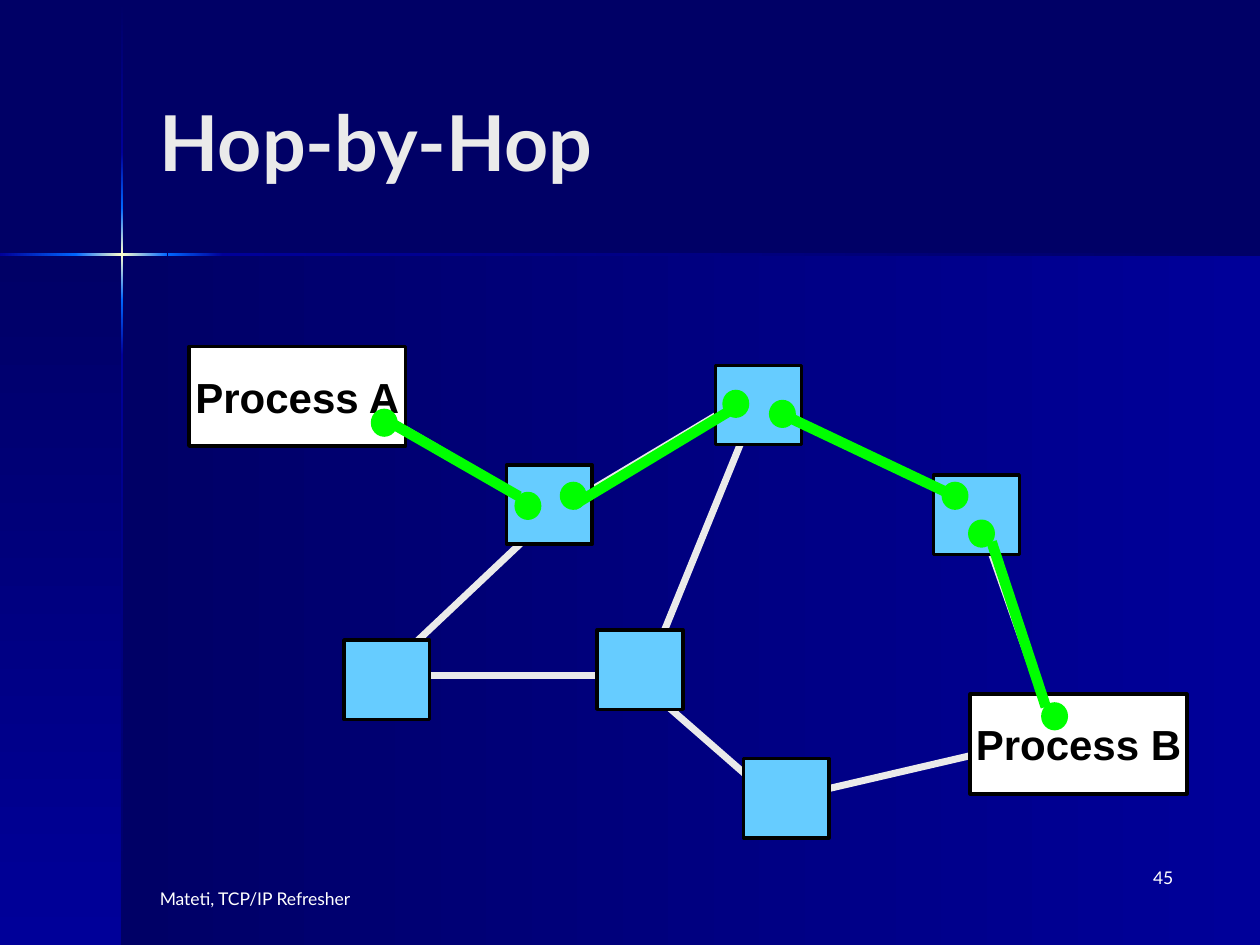
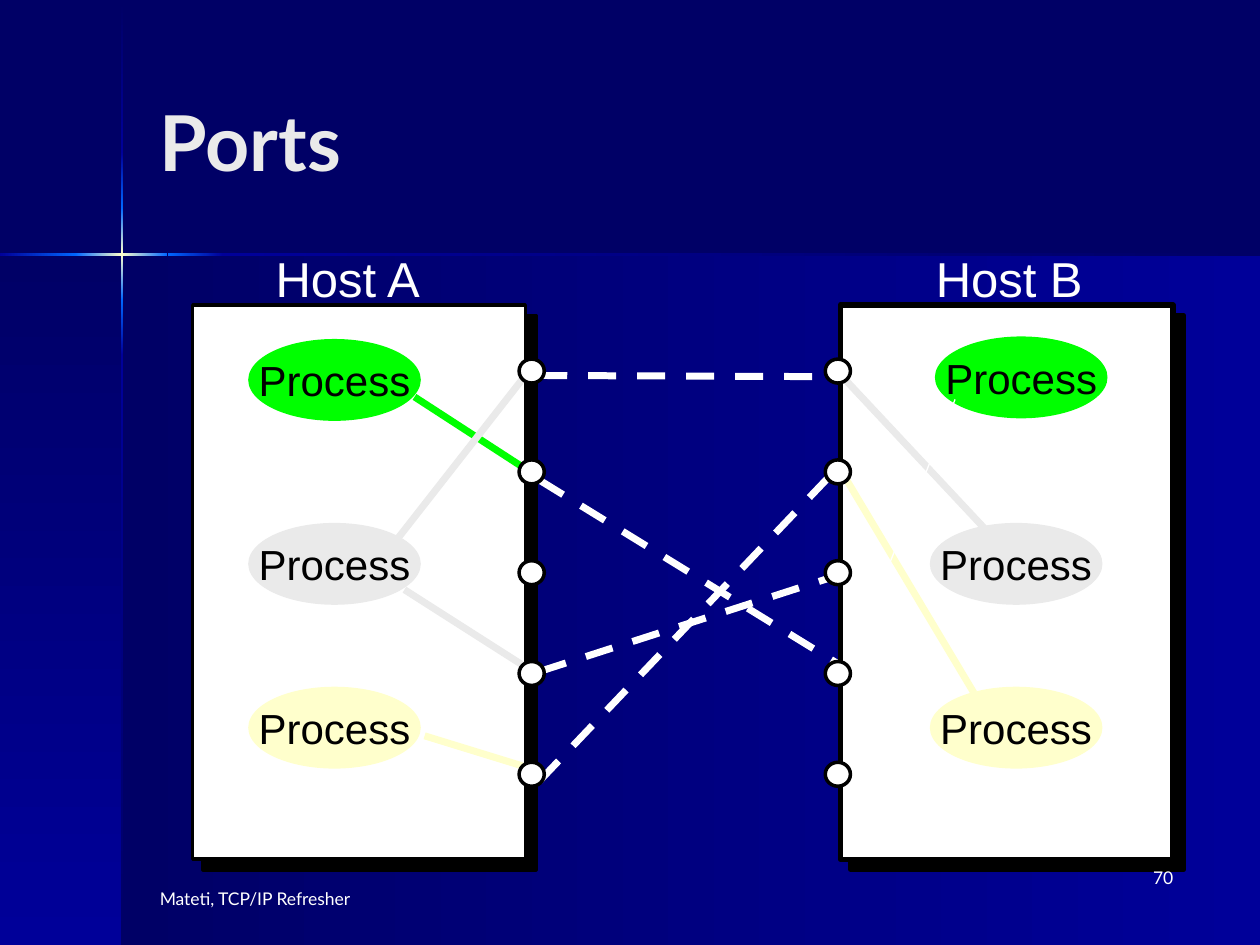
from lxml import etree
from pptx import Presentation
from pptx.dml.color import RGBColor
from pptx.enum import dml, shapes, text
from pptx.oxml import ns
from pptx.util import Inches, Pt

COLOURS = {
    "navy": "000066", "blue": "000099", "bright": "0066FF", "cream": "FFFFCC",
    "pale": "EAEAEA", "white": "FFFFFF", "black": "000000", "sky": "66CCFF",
    "green": "00FF00",
}
RECTANGLE = shapes.MSO_SHAPE.RECTANGLE
OVAL = shapes.MSO_SHAPE.OVAL
LEFT, CENTER, RIGHT = text.PP_ALIGN.LEFT, text.PP_ALIGN.CENTER, text.PP_ALIGN.RIGHT
TOP, MIDDLE = text.MSO_ANCHOR.TOP, text.MSO_ANCHOR.MIDDLE


def add_shape(slide, kind, box, fill=None, line=None, width=2, words="", size=24,
              font="Arial", colour="black", bold=False, align=CENTER, anchor=MIDDLE):
    box = [Inches(length) for length in box]
    if kind is None:
        shape = slide.shapes.add_textbox(*box)
    else:
        shape = slide.shapes.add_shape(kind, *box)
        shape.shadow.inherit = False
        if line:
            shape.line.color.rgb = RGBColor.from_string(COLOURS[line])
            shape.line.width = Pt(width)
        else:
            shape.line.fill.background()
    if fill:
        shape.fill.solid()
        shape.fill.fore_color.rgb = RGBColor.from_string(COLOURS[fill])
    if words:
        frame = shape.text_frame
        frame.text = words
        frame.word_wrap = kind is None
        frame.vertical_anchor = anchor
        paragraph = frame.paragraphs[0]
        paragraph.alignment = align
        run_font = paragraph.runs[0].font
        run_font.name, run_font.size, run_font.bold = font, Pt(size), bold
        run_font.color.rgb = RGBColor.from_string(COLOURS[colour])
    return shape


def add_line(slide, points, colour, width=4, dash=None):
    connector = slide.shapes.add_connector(
        shapes.MSO_CONNECTOR.STRAIGHT, *[Inches(length) for length in points])
    connector.line.color.rgb = RGBColor.from_string(COLOURS[colour])
    connector.line.width = Pt(width)
    if dash:
        connector.line.dash_style = dash
    etree.SubElement(connector._element.spPr, ns.qn("a:effectLst"))


presentation = Presentation()
presentation.slide_width = Inches(10)
presentation.slide_height = Inches(7.5)
background = presentation.slide_master.background.fill
background.solid()
background.fore_color.rgb = RGBColor.from_string(COLOURS["navy"])

DOWN, LEFTWARD = 90, 180
glow = ["bright", "cream", "bright"]
bands = [
    ((0.97, 2.02, 9.03, 5.48), ["blue", "navy"], LEFTWARD),
    ((0, 2.02, 0.97, 5.48), ["navy", "blue"], DOWN),
    ((0.96, 0.01, 0.02, 1.2), ["navy", "blue"], DOWN),
    ((0.96, 2.82, 0.02, 4.68), ["blue", "navy"], DOWN),
    ((1.77, 2.01, 8.23, 0.02), ["navy", "blue"], LEFTWARD),
    ((0.96, 2.38, 0.02, 0.44), ["bright", "blue"], DOWN),
    ((0.96, 1.21, 0.02, 0.44), ["blue", "bright"], DOWN),
    ((0.96, 1.65, 0.02, 0.73), glow, DOWN),
    ((0, 2.01, 0.61, 0.02), ["bright", "blue"], LEFTWARD),
    ((1.33, 2.01, 0.44, 0.02), ["blue", "bright"], LEFTWARD),
    ((0.6, 2.01, 0.73, 0.02), glow, LEFTWARD),
]
slides = []
for title in ("Hop-by-Hop", "Ports"):
    slide = presentation.slides.add_slide(presentation.slide_layouts[6])
    slides.append(slide)
    for box, colours, angle in bands:
        band = add_shape(slide, RECTANGLE, box)
        band.fill.gradient()
        band.fill.gradient_angle = 360 - angle
        stops = band._element.spPr.find(ns.qn("a:gradFill")).find(ns.qn("a:gsLst"))
        for stop in list(stops):
            stops.remove(stop)
        for index, colour in enumerate(colours):
            position = 100000 * index // (len(colours) - 1)
            stop = etree.SubElement(stops, ns.qn("a:gs"), pos=str(position))
            etree.SubElement(stop, ns.qn("a:srgbClr"), val=COLOURS[colour])
    add_shape(slide, None, (1.17, 0.33, 8.25, 1.57), words=title, size=44,
              font="Lato", colour="pale", bold=True, align=LEFT)
hop_slide, port_slide = slides

links = [
    (5.04, 5.38, 6.15, 6.35), (5.12, 5.38, 6, 3.22), (6.27, 6.33, 8.38, 5.84),
    (3.1, 5.36, 5.07, 5.36), (7.78, 4.14, 8.38, 5.84), (4.39, 4.07, 5.93, 3.15),
    (6.05, 3.2, 7.73, 4.02), (4.39, 4.07, 2.98, 5.4), (3.1, 3.34, 4.27, 4.02),
]
for link in links:
    add_line(hop_slide, link, "pale")
for name, left, top in (("Process A", 1.5, 2.75), ("Process B", 7.7, 5.51)):
    add_shape(hop_slide, RECTANGLE, (left, top, 1.72, 0.79), "white", "black",
              words=name, bold=True)
routers = [(4.74, 5), (5.68, 2.9), (7.41, 3.77), (4.02, 3.69), (2.73, 5.08), (5.9, 6.02)]
for left, top in routers:
    add_shape(hop_slide, RECTANGLE, (left, top, 0.68, 0.63), "sky", "black")
hops = [
    ((2.95, 3.25), (4.09, 3.91), (3.11, 3.36, 4.12, 3.94)),
    ((4.45, 3.83), (5.74, 3.1), (4.55, 4.01, 5.81, 3.25)),
    ((6.11, 3.18), (7.48, 3.83), (6.17, 3.27, 7.54, 3.92)),
    ((7.69, 4.13), (8.27, 5.58), (7.87, 4.3, 8.3, 5.61)),
]
for start, end, hop in hops:
    for left, top in (start, end):
        add_shape(hop_slide, OVAL, (left, top, 0.2, 0.21), "green", "green", 1)
    add_line(hop_slide, hop, "green", 6)

for name, left in (("Host A", 1.33), ("Host B", 6.58)):
    add_shape(port_slide, None, (left, 1.92, 2.86, 0.56), words=name, size=28,
              colour="white", anchor=TOP)
connections = [
    (4.28, 3.81, 6.67, 5.28), (4.28, 5.33, 6.67, 4.56),
    (4.28, 6.2, 6.67, 3.69), (4.28, 2.98, 6.67, 2.99),
]
for connection in connections:
    add_line(port_slide, connection, "white", dash=dml.MSO_LINE.DASH)
for left, width in ((1.53, 2), (6.67, 3)):
    host = add_shape(port_slide, RECTANGLE, (left, 2.42, 2.64, 4.4), "white", "black", width)
    effects = host._element.spPr.find(ns.qn("a:effectLst"))
    shadow = etree.SubElement(effects, ns.qn("a:outerShdw"), blurRad="0",
                              dist=str(Pt(8.5)), dir="2700000", algn="ctr", rotWithShape="0")
    etree.SubElement(shadow, ns.qn("a:srgbClr"), val=COLOURS["black"])
processes = [
    (1.97, 2.69, "green"), (1.97, 4.15, "pale"), (1.97, 5.45, "cream"),
    (7.42, 2.67, "green"), (7.38, 4.15, "pale"), (7.38, 5.45, "cream"),
]
for left, top, colour in processes:
    add_shape(port_slide, OVAL, (left, top, 1.37, 0.65), colour, words="Process")
bindings = [
    ((3.29, 3.15, 4.23, 3.76), "green"), ((3.21, 4.68, 4.15, 5.28), "pale"),
    ((4.2, 2.94, 3.16, 4.27), "pale"), ((3.37, 5.84, 4.15, 6.08), "cream"),
    ((6.64, 2.94, 7.81, 4.19), "pale"), ((6.72, 3.81, 7.73, 5.5), "cream"),
]
for binding, colour in bindings:
    add_line(port_slide, binding, colour)
for left in (6.55, 4.12):
    for row in range(5):
        add_shape(port_slide, OVAL, (left, 2.85 + 0.8 * row, 0.2, 0.19), "white", "black")
add_line(port_slide, (6.75, 5.25, 7.58, 3.17), "white", 0.75)

for slide, number in zip(slides, ("45", "70")):
    for box, words, align in (((1.17, 7, 2.67, 0.5), "Mateti, TCP/IP Refresher", LEFT),
                              ((7.33, 6.83, 2.08, 0.5), number, RIGHT)):
        add_shape(slide, None, box, words=words, size=10, font="Lato",
                  colour="white", align=align, anchor=TOP)

presentation.save("out.pptx")
